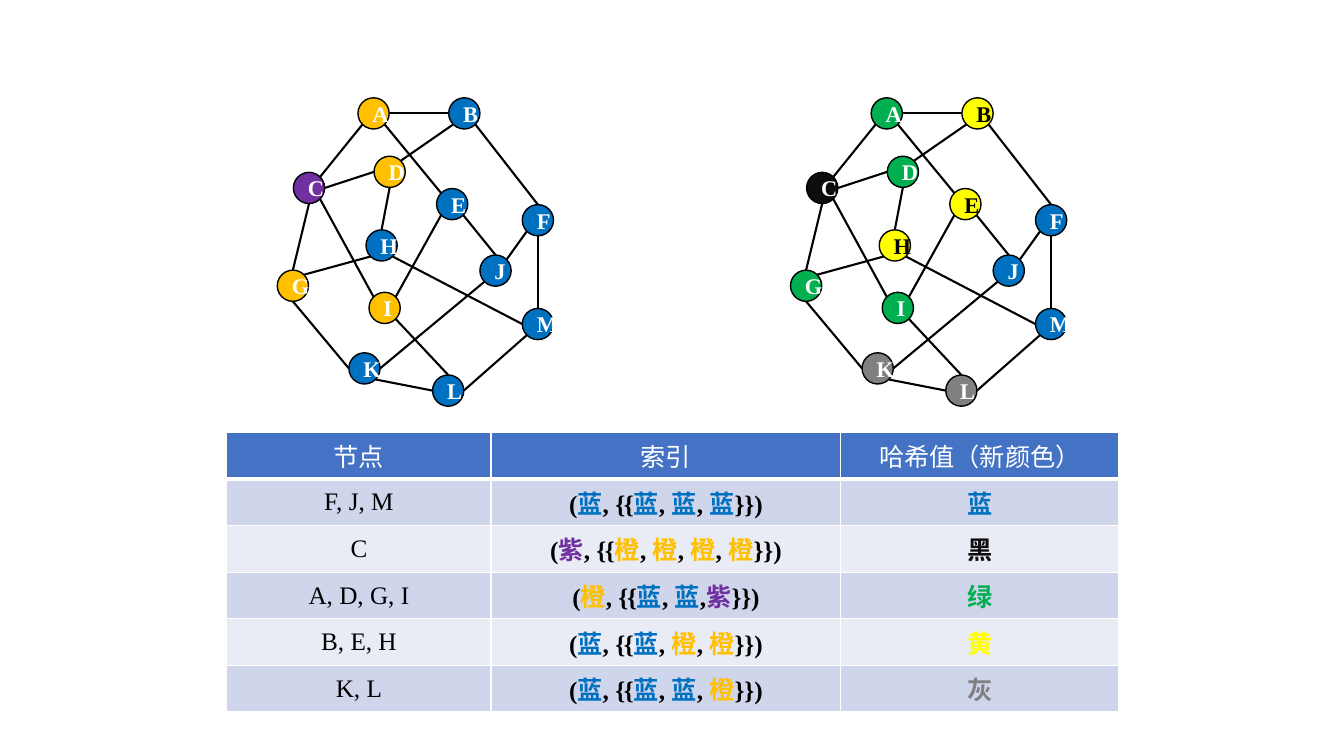
import itertools
import math
import pptx
import pptx.dml.color
import pptx.enum.lang
import pptx.enum.shapes
import pptx.enum.text
import pptx.oxml
import pptx.oxml.ns
import pptx.util
from pptx.util import Inches

RGBColor = pptx.dml.color.RGBColor
WHITE = RGBColor(0xFF, 0xFF, 0xFF)
BLACK = RGBColor(0x00, 0x00, 0x00)
HEADER = RGBColor(0x44, 0x72, 0xC4)
BAND_DARK = RGBColor(0xCF, 0xD5, 0xEA)
BAND_LIGHT = RGBColor(0xE9, 0xEB, 0xF5)
YELLOW = RGBColor(0xFF, 0xFF, 0x00)
HUES = {
    "蓝": RGBColor(0x00, 0x70, 0xC0),
    "紫": RGBColor(0x70, 0x30, 0xA0),
    "橙": RGBColor(0xFF, 0xC0, 0x00),
    "黑": RGBColor(0x0D, 0x0D, 0x0D),
    "绿": RGBColor(0x00, 0xB0, 0x50),
    "黄": YELLOW,
    "灰": RGBColor(0x80, 0x80, 0x80),
}
FONT = "Times New Roman"
CENTER = pptx.enum.text.PP_ALIGN.CENTER
MIDDLE = pptx.enum.text.MSO_ANCHOR.MIDDLE

ROWS = [
    ("节点", "索引", "哈希值（新颜色）"),
    ("F, J, M", "(蓝, {{蓝, 蓝, 蓝}})", "蓝"),
    ("C", "(紫, {{橙, 橙, 橙, 橙}})", "黑"),
    ("A, D, G, I", "(橙, {{蓝, 蓝,紫}})", "绿"),
    ("B, E, H", "(蓝, {{蓝, 橙, 橙}})", "黄"),
    ("K, L", "(蓝, {{蓝, 蓝, 橙}})", "灰"),
]
COL_WIDTHS = [2.62, 3.47, 2.76]
SPACING = {"{": "-100", "}": "-10"}

NODES = {
    "A": (3.55, 0.97), "C": (2.91, 1.71), "B": (4.45, 0.97), "D": (3.71, 1.55),
    "E": (4.33, 1.87), "F": (5.18, 2.03), "H": (3.63, 2.28), "G": (2.75, 2.68),
    "J": (4.76, 2.53), "K": (3.46, 3.5), "L": (4.29, 3.72), "M": (5.18, 3.06),
    "I": (3.66, 2.9),
}
EDGES = [
    ("A", "SW", "C", "NE"), ("A", "SE", "E", "NW"), ("E", "SE", "J", "N"),
    ("F", "SW", "J", "NE"), ("J", "SW", "K", "E"), ("A", "E", "B", "W"),
    ("B", "SE", "F", "N"), ("C", "S", "G", "N"), ("K", "W", "G", "S"),
    ("K", "SE", "L", "W"), ("L", "E", "M", "SW"), ("F", "S", "M", "N"),
    ("B", "SW", "D", "NE"), ("D", "W", "C", "E"), ("L", "N", "I", "SE"),
    ("D", "S", "H", "N"), ("M", "W", "H", "SE"), ("H", "SW", "G", "NE"),
    ("E", "SW", "I", "NE"), ("I", "NW", "C", "SE"),
]
COMPASS = ["E", "SE", "S", "SW", "W", "NW", "N", "NE"]
DIAMETER = 0.31
GRAPHS = [
    (0, {"橙": "ADGI", "紫": "C", "蓝": "BEFHJKLM"}),
    (5.09, {"绿": "ADGI", "黑": "C", "黄": "BEH", "蓝": "FJM", "灰": "KL"}),
]


def rim_point(node, direction, shift):
    angle = COMPASS.index(direction) * math.pi / 4
    left, top = NODES[node]
    radius = DIAMETER / 2
    return (Inches(left + shift + radius + radius * math.cos(angle)),
            Inches(top + radius + radius * math.sin(angle)))


def format_run(r, size, color, bold):
    r.font.name = FONT
    r.font.size = pptx.util.Pt(size)
    r.font.bold = bold
    r.font.color.rgb = color


prs = pptx.Presentation()
prs.slide_width = Inches(13.33)
prs.slide_height = Inches(7.5)
s = prs.slides.add_slide(prs.slide_layouts[6])

table = s.shapes.add_table(len(ROWS), len(COL_WIDTHS), Inches(2.25), Inches(4.29),
                           Inches(sum(COL_WIDTHS)), Inches(0.41 * len(ROWS))).table
for column, width in zip(table.columns, COL_WIDTHS):
    column.width = Inches(width)

for i, row in enumerate(ROWS):
    table.rows[i].height = Inches(0.41)
    for j, text in enumerate(row):
        cell = table.cell(i, j)
        cell.vertical_anchor = MIDDLE
        tcPr = cell._tc.get_or_add_tcPr()
        for side in "LRTB":
            width = 38100 if (i, side) in ((0, "B"), (1, "T")) else 12700
            tcPr.append(pptx.oxml.parse_xml(
                f'<a:ln{side} {pptx.oxml.ns.nsdecls("a")} w="{width}"><a:solidFill>'
                f'<a:srgbClr val="{WHITE}"/></a:solidFill></a:ln{side}>'))
        cell.fill.solid()
        cell.fill.fore_color.rgb = HEADER if i == 0 else BAND_DARK if i % 2 else BAND_LIGHT
        p = cell.text_frame.paragraphs[0]
        p.alignment = CENTER
        for key, chars in itertools.groupby(
                text, lambda ch: ch if ch in HUES or ch in SPACING else ""):
            r = p.add_run()
            r.text = "".join(chars)
            format_run(r, 18, HUES.get(key, WHITE if i == 0 else BLACK), i > 0 and j > 0)
            r.font.language_id = pptx.enum.lang.MSO_LANGUAGE_ID.SIMPLIFIED_CHINESE
            if key in SPACING:
                r.font._element.set("spc", SPACING[key])

for shift, groups in GRAPHS:
    fills = {node: HUES[hue] for hue, members in groups.items() for node in members}
    for node, (left, top) in NODES.items():
        sp = s.shapes.add_shape(pptx.enum.shapes.MSO_SHAPE.OVAL, Inches(left + shift),
                                Inches(top), Inches(DIAMETER), Inches(DIAMETER))
        sp.shadow.inherit = False
        sp.fill.solid()
        sp.fill.fore_color.rgb = fills[node]
        sp.line.color.rgb = BLACK
        sp.line.width = pptx.util.Pt(1)
        tf = sp.text_frame
        tf.text = node
        tf.vertical_anchor = MIDDLE
        p = tf.paragraphs[0]
        p.alignment = CENTER
        format_run(p.runs[0], 16, BLACK if fills[node] == YELLOW else WHITE, True)
    for start, start_side, end, end_side in EDGES:
        edge = s.shapes.add_connector(pptx.enum.shapes.MSO_CONNECTOR.STRAIGHT,
                                      *rim_point(start, start_side, shift),
                                      *rim_point(end, end_side, shift))
        edge.line.color.rgb = BLACK
        edge.line.width = pptx.util.Pt(1.5)
        edge._element.spPr.append(pptx.oxml.parse_xml(
            f'<a:effectLst {pptx.oxml.ns.nsdecls("a")}/>'))

prs.save("out.pptx")
